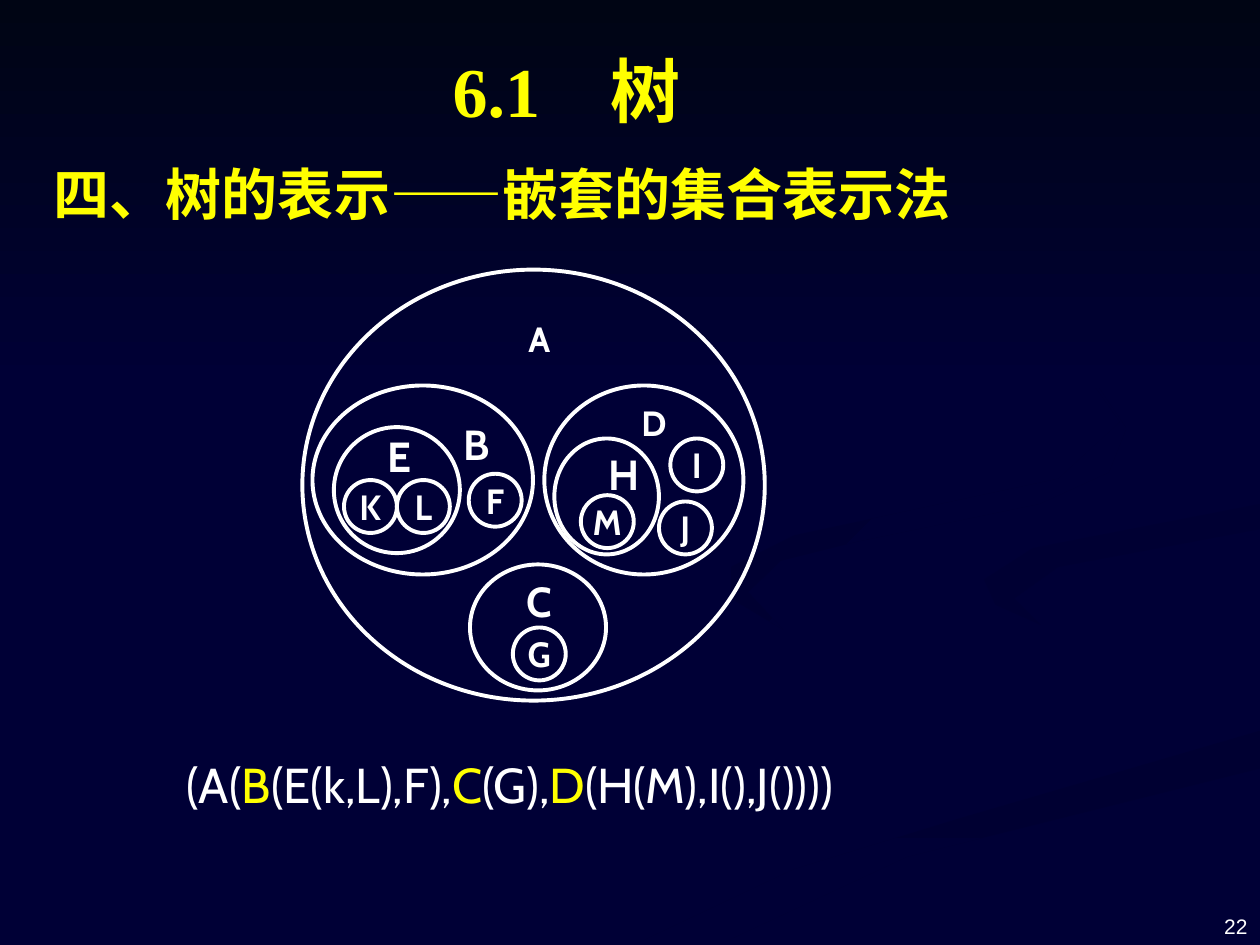
from pptx import Presentation
from pptx.dml.color import RGBColor
from pptx.enum.shapes import MSO_SHAPE as SHAPE
from pptx.enum.text import MSO_ANCHOR as ANCHOR, PP_ALIGN as ALIGN
from pptx.util import Inches, Pt

WHITE, YELLOW, NAVY = "FFFFFF", "FFFF00", "000036"
SMALL, LARGE = 20, 24
NODE = 0.42

# Backdrop swooshes: first colour, last colour, clockwise angle, outline in inches
SWOOSHES = [
    (NAVY, "000034", 0, [
        (7.8, 5.5), (6.3, 5), (5.75, 4.6), (5.9, 4.9), (7.5, 5.4), (7.86, 5.66),
        (7.4, 6), (5, 6.6), (3, 7.5), (3.6, 7.5), (5.3, 6.75), (7.6, 6.1), (8, 5.8)]),
    (NAVY, "000034", 45, [
        (9.4, 5.65), (8.9, 5.35), (7.6, 5), (7.24, 4.64), (7.5, 5), (8.8, 5.5),
        (9.18, 5.8), (8.94, 6.05), (9.4, 5.8)]),
    ("000032", NAVY, 90, [
        (5.03, 7.5), (5.7, 7.5), (7.2, 6.8), (10, 6.1), (10, 5.8), (7.6, 6.5),
        (6.3, 6.9)]),
    ("000033", NAVY, 45, [
        (7.81, 4.6), (7.9, 4.8), (8.26, 4.96), (8.05, 4.75), (8.4, 4.5),
        (10, 4.2), (10, 4), (8.2, 4.35)]),
    ("000032", NAVY, 45, [
        (6.8, 4.3), (8.25, 4), (8.8, 3.75), (8.94, 3.4), (8.6, 2.9), (7.62, 2.33),
        (8.5, 2.8), (8.89, 3.35), (8.4, 3.8), (6.3, 4.25), (5.8, 4.5), (5.8, 4.75),
        (6.22, 5), (5.94, 4.7), (6.2, 4.45)]),
    ("000514", NAVY, 90, [(0, 0), (0, 3.08), (10, 3.08), (10, 0)]),
]

# Rings that enclose the subtrees: left, top, width, height
RINGS = {
    "A": (2.4, 2.14, 3.67, 3.42),
    "B": (2.48, 3.06, 1.75, 1.5),
    "D": (4.32, 3.06, 1.58, 1.5),
    "C": (3.73, 4.48, 1.08, 1),
    "E": (2.65, 3.39, 1, 1),
    "H": (4.4, 3.48, 0.83, 0.92),
}
# Names of the rings: left, top, text size
RING_NAMES = {
    "A": (4.07, 2.48, SMALL), "B": (3.57, 3.31, LARGE), "C": (4.07, 4.56, LARGE),
    "D": (4.98, 3.14, SMALL), "E": (2.96, 3.41, LARGE), "H": (4.74, 3.55, LARGE),
}
# Leaves, each a small ring with its name: left, top
LEAVES = {
    "K": (2.73, 3.81), "L": (3.15, 3.81), "F": (3.72, 3.76), "G": (4.07, 4.98),
    "M": (4.61, 3.93), "I": (5.32, 3.48), "J": (5.23, 3.98),
}

TITLE = [("6.1　树", YELLOW)]
HEADING = [("四、树的表示——嵌套的集合表示法", YELLOW)]
NESTED_LIST = [
    ("(A(", WHITE), ("B", YELLOW), ("(E(k,L),F),", WHITE), ("C", YELLOW),
    ("(G),", WHITE), ("D", YELLOW), ("(H(M),I(),J())))", WHITE),
]


def color(value):
    return RGBColor.from_string(value)


def add_swoosh(page, first, last, angle, points):
    corners = [(Inches(x), Inches(y)) for x, y in points]
    builder = page.shapes.build_freeform(*corners[0])
    builder.add_line_segments(corners[1:], close=True)
    shape = builder.convert_to_shape()
    shape.shadow.inherit = False
    shape.line.fill.background()
    shape.fill.gradient()
    shape.fill.gradient_angle = (360 - angle) % 360  # counter-clockwise
    for stop, value in zip(shape.fill.gradient_stops, (first, last)):
        stop.color.rgb = color(value)


def write(frame, spans, font, size, bold=False, align=ALIGN.LEFT):
    para = frame.paragraphs[0]
    para.alignment = align
    for text, value in spans:
        span = para.add_run()
        span.text = text
        span.font.name, span.font.size, span.font.bold = font, Pt(size), bold
        span.font.color.rgb = color(value)


def add_text(page, place, spans, font, size, anchor=ANCHOR.TOP, **style):
    box = page.shapes.add_textbox(*map(Inches, place))
    box.text_frame.word_wrap = True
    box.text_frame.vertical_anchor = anchor
    write(box.text_frame, spans, font, size, **style)


def add_ellipse(page, place, name="", size=SMALL, outlined=True):
    shape = page.shapes.add_shape(SHAPE.OVAL, *map(Inches, place))
    shape.shadow.inherit = False
    shape.fill.background()
    if outlined:
        shape.line.color.rgb = color(WHITE)
        shape.line.width = Pt(2.25)
    else:
        shape.line.fill.background()
    if name:
        shape.text_frame.word_wrap = False
        shape.text_frame.vertical_anchor = ANCHOR.MIDDLE
        write(shape.text_frame, [(name, WHITE)], "Cabin", size, True, ALIGN.CENTER)


def main():
    deck = Presentation()
    deck.slide_width, deck.slide_height = Inches(10), Inches(7.5)
    page = deck.slides.add_slide(deck.slide_layouts[6])
    page.background.fill.solid()
    page.background.fill.fore_color.rgb = color(NAVY)

    for swoosh in SWOOSHES:
        add_swoosh(page, *swoosh)
    for place in RINGS.values():
        add_ellipse(page, place)
    for name, (left, top, size) in RING_NAMES.items():
        add_ellipse(page, (left, top, NODE, NODE), name, size, outlined=False)
    for name, (left, top) in LEAVES.items():
        add_ellipse(page, (left, top, NODE, NODE), name)

    add_text(page, (2.08, 0.33, 4.83, 0.77), TITLE, "Times New Roman", 40,
             bold=True, align=ALIGN.CENTER)
    add_text(page, (0.33, 1.22, 7.57, 0.63), HEADING, "Times New Roman", 32, bold=True)
    add_text(page, (1.38, 5.94, 6.54, 0.57), NESTED_LIST, "Cabin", 28)
    add_text(page, (7.67, 6.98, 2.33, 0.52), [("22", WHITE)], "Arial", 12,
             anchor=ANCHOR.BOTTOM, align=ALIGN.RIGHT)
    deck.save("out.pptx")


if __name__ == "__main__":
    main()
